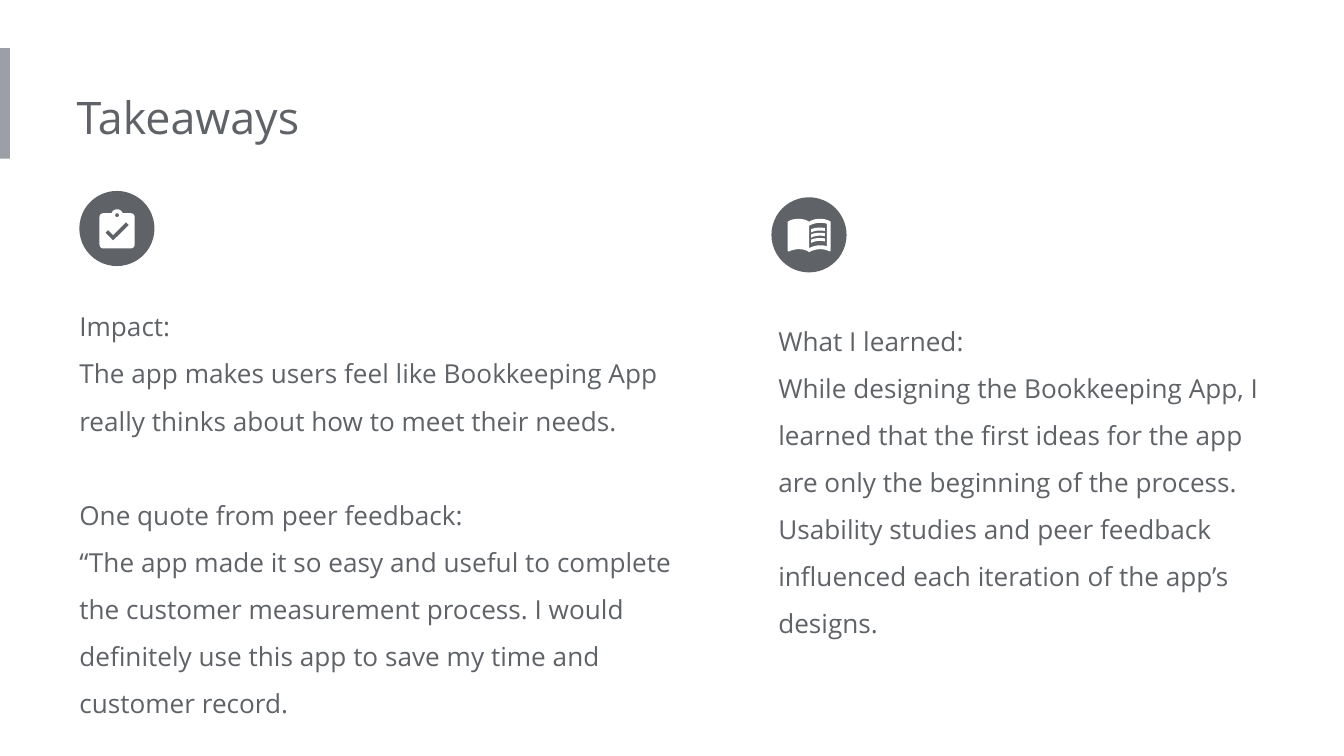
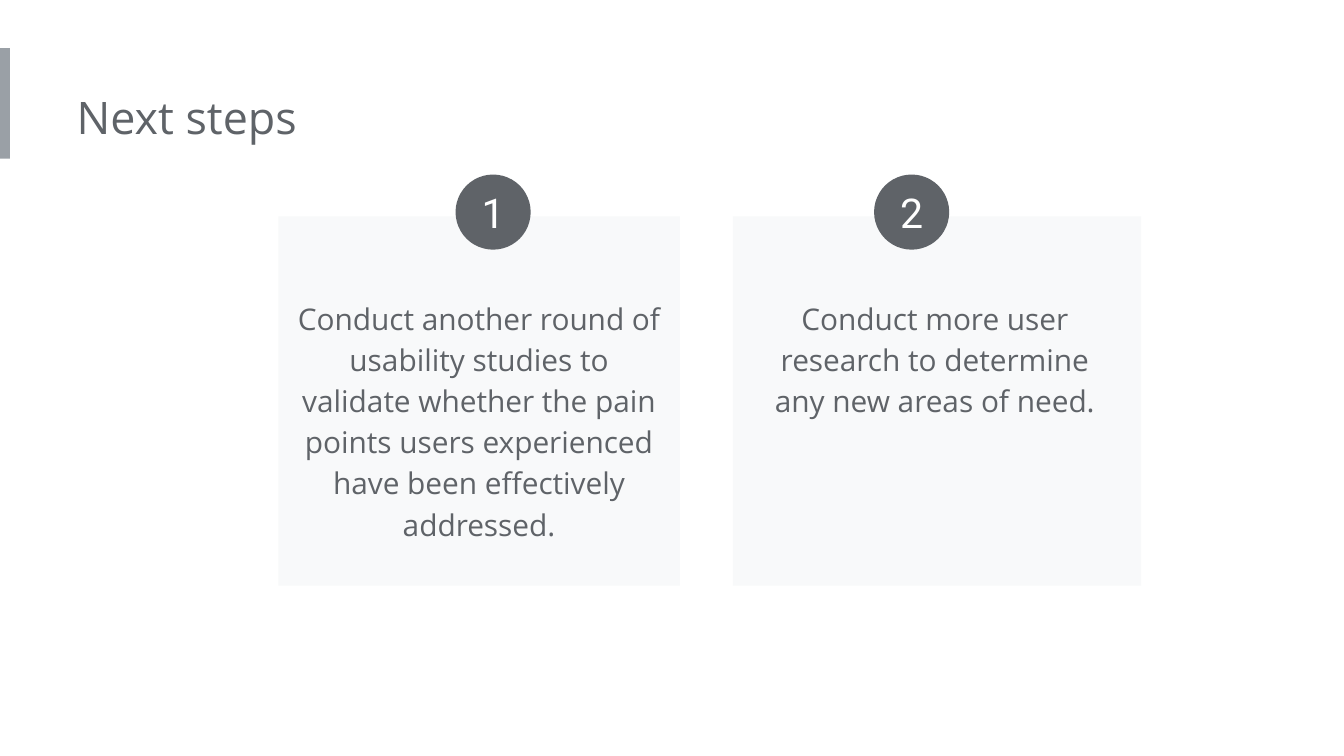
from pptx import Presentation
from pptx.dml.color import RGBColor
from pptx.enum.shapes import MSO_SHAPE as Preset
from pptx.enum.text import MSO_ANCHOR as Anchor, MSO_AUTO_SIZE as AutoSize, PP_ALIGN as Align
from pptx.util import Cm, Pt

COLORS = {"text": "5F6368", "accent": "9AA0A6", "card": "F8F9FA", "white": "FFFFFF"}
BODY_FONT, NUMBER_FONT = "Open Sans", "Roboto"
INSET = 0.25
CIRCLE = 1.42
ICON_UNIT = 0.037  # side of one cell of the 24 x 24 icon grid

# Icon contours: a pair is a line to a point, six numbers are a cubic curve
CLIPBOARD = [
    [(19, 3), (14.82, 3), (14.4, 1.84, 13.3, 1, 12, 1), (10.7, 1, 9.6, 1.84, 9.18, 3),
     (5, 3), (3.9, 3, 3, 3.9, 3, 5), (3, 19), (3, 20.1, 3.9, 21, 5, 21),
     (19, 21), (20.1, 21, 21, 20.1, 21, 19), (21, 5), (21, 3.9, 20.1, 3, 19, 3)],
    [(12, 3), (12.55, 3, 13, 3.45, 13, 4), (13, 4.55, 12.55, 5, 12, 5),
     (11.45, 5, 11, 4.55, 11, 4), (11, 3.45, 11.45, 3, 12, 3)],
    [(10, 17), (6, 13), (7.41, 11.59), (10, 14.17), (16.59, 7.58), (18, 9)],
]
BOOK = [
    [(21, 5), (19.89, 4.65, 18.67, 4.5, 17.5, 4.5), (15.55, 4.5, 13.45, 4.9, 12, 6),
     (10.55, 4.9, 8.45, 4.5, 6.5, 4.5), (4.55, 4.5, 2.45, 4.9, 1, 6), (1, 20.65),
     (1, 20.9, 1.25, 21.15, 1.5, 21.15), (1.75, 21.1), (3.1, 20.45, 5.05, 20, 6.5, 20),
     (8.45, 20, 10.55, 20.4, 12, 21.5), (13.35, 20.65, 15.8, 20, 17.5, 20),
     (19.15, 20, 20.85, 20.3, 22.25, 21.05), (22.5, 21.1),
     (22.75, 21.1, 23, 20.85, 23, 20.6), (23, 6), (22.4, 5.55, 21.75, 5.25, 21, 5)],
    [(21, 18.5), (19.9, 18.15, 18.7, 18, 17.5, 18), (15.8, 18, 13.35, 18.65, 12, 19.5),
     (12, 8), (13.35, 7.15, 15.8, 6.5, 17.5, 6.5), (18.7, 6.5, 19.9, 6.65, 21, 7)],
]
BOOK_LINE = [(17.5, 10.5), (18.38, 10.5, 19.23, 10.59, 20, 10.76), (20, 9.24),
             (19.21, 9.09, 18.36, 9, 17.5, 9), (15.8, 9, 14.26, 9.29, 13, 9.83),
             (13, 11.49), (14.13, 10.85, 15.7, 10.5, 17.5, 10.5)]
BOOK_LINE_PITCH = 2.66


def rgb(name):
    return RGBColor.from_string(COLORS[name])


def paint(shape, color):
    shape.shadow.inherit = False
    shape.fill.solid()
    shape.fill.fore_color.rgb = rgb(color)
    shape.line.fill.background()


def write(shape, paragraphs, size, color="text", font=BODY_FONT, align=Align.LEFT,
          spacing=1.0, insets=(INSET,) * 4, anchor=Anchor.TOP, fit=AutoSize.SHAPE_TO_FIT_TEXT):
    """Fill a shape with paragraphs of one style and return them."""
    frame = shape.text_frame
    left, top, right, bottom = map(Cm, insets)
    frame_format = {"word_wrap": True, "auto_size": fit, "vertical_anchor": anchor,
                    "margin_left": left, "margin_top": top,
                    "margin_right": right, "margin_bottom": bottom}
    for name, value in frame_format.items():
        setattr(frame, name, value)
    frame.text = "\n".join(paragraphs)
    for paragraph in frame.paragraphs:
        paragraph_format = {"alignment": align, "line_spacing": spacing,
                            "space_before": Pt(0), "space_after": Pt(0)}
        for name, value in paragraph_format.items():
            setattr(paragraph, name, value)
        for run in paragraph.runs:
            for name, value in {"name": font, "size": Pt(size)}.items():
                setattr(run.font, name, value)
            run.font.color.rgb = rgb(color)
    return frame.paragraphs


def add_block(slide, kind, left, top, width, height, color):
    block = slide.shapes.add_shape(kind, Cm(left), Cm(top), Cm(width), Cm(height))
    paint(block, color)
    return block


def add_text(slide, box, paragraphs, size, **style):
    return write(slide.shapes.add_textbox(*map(Cm, box)), paragraphs, size, **style)


def add_titled_slide(deck, title_text):
    """Title-only slide with the accent bar at the left edge."""
    slide = deck.slides.add_slide(deck.slide_layouts[5])
    add_block(slide, Preset.RECTANGLE, 0, 0.91, 0.19, 2.09, "accent")
    title = slide.shapes.title
    for name, value in {"left": 1.45, "top": 1.45, "width": 13.69, "height": 1.55}.items():
        setattr(title, name, Cm(value))
    write(title, [title_text], 24, insets=(0, INSET, INSET, INSET))
    return slide


def flatten(contour, steps=6):
    """Turn the lines and curves of a contour into points."""
    points = [contour[0]]
    for segment in contour[1:]:
        if len(segment) == 2:
            points.append(segment)
            continue
        x0, y0 = points[-1]
        x1, y1, x2, y2, x3, y3 = segment
        for step in range(1, steps + 1):
            t = step / steps
            a, b, c, d = (1 - t) ** 3, 3 * t * (1 - t) ** 2, 3 * t * t * (1 - t), t ** 3
            points.append((a * x0 + b * x1 + c * x2 + d * x3,
                           a * y0 + b * y1 + c * y2 + d * y3))
    return points


def add_glyph(slide, left, top, contours):
    """White outline drawn on the icon grid."""
    outlines = [[(Cm(left + x * ICON_UNIT), Cm(top + y * ICON_UNIT))
                 for x, y in flatten(contour)] for contour in contours]
    builder = slide.shapes.build_freeform(*outlines[0][0])
    builder.add_line_segments(outlines[0][1:], close=True)
    for outline in outlines[1:]:
        builder.move_to(*outline[0])
        builder.add_line_segments(outline[1:], close=True)
    paint(builder.convert_to_shape(), "white")


def add_icon(slide, left, top, glyphs, rise):
    """Round badge with its glyphs, the grid starting at rise below the top."""
    add_block(slide, Preset.OVAL, left, top, CIRCLE, CIRCLE, "text")
    for contours in glyphs:
        add_glyph(slide, left + 0.27, top + rise, contours)


def add_takeaway(slide, box, paragraphs):
    return add_text(slide, box, paragraphs, 14, spacing=1.5, insets=(0, INSET, INSET, INSET))


def add_step(slide, card, text_box, badge_left, number, text):
    """Card with a centred text and a numbered badge on its top edge."""
    left, top, width, height = card
    dx, dy, text_width, text_height = text_box
    add_block(slide, Preset.RECTANGLE, left, top, width, height, "card")
    add_text(slide, (left + dx, top + dy, text_width, text_height), [text], 16,
             align=Align.CENTER, spacing=1.15)
    badge = add_block(slide, Preset.OVAL, left + badge_left, top - 0.79, CIRCLE, CIRCLE, "text")
    write(badge, [number], 22, color="white", font=NUMBER_FONT, align=Align.CENTER,
          insets=(0,) * 4, anchor=Anchor.MIDDLE, fit=AutoSize.NONE)


def build_takeaways(deck):
    slide = add_titled_slide(deck, "Takeaways")
    # Impact and feedback
    impact = add_takeaway(slide, (1.5, 5.33, 12.14, 8.59), [
        "Impact:",
        "The app makes users feel like Bookkeeping App really thinks about how to meet "
        "their needs.",
        "One quote from peer feedback:",
        "“The app made it so easy and useful to complete the customer measurement process. "
        "I would definitely use this app to save my time and customer record."])
    impact[2].space_before = Pt(25.2)
    add_icon(slide, 1.5, 3.61, [CLIPBOARD], 0.31)
    # Lessons
    add_takeaway(slide, (14.71, 5.61, 9.58, 6.78), [
        "What I learned:",
        "While designing the Bookkeeping App, I learned that the first ideas for the app are "
        "only the beginning of the process. Usability studies and peer feedback influenced "
        "each iteration of the app’s designs."])
    lines = [[[(*segment[:1], segment[1] + row * BOOK_LINE_PITCH) if len(segment) == 2
               else tuple(value + (index % 2) * row * BOOK_LINE_PITCH
                          for index, value in enumerate(segment))
               for segment in BOOK_LINE]] for row in range(3)]
    add_icon(slide, 14.58, 3.73, [BOOK, *lines], 0.24)


def build_next_steps(deck):
    slide = add_titled_slide(deck, "Next steps")
    add_step(slide, (5.26, 4.09, 7.59, 6.98), (0, 1.24, 7.59, 5.21), 3.35, "1",
             "Conduct another round of usability studies to validate whether the pain points "
             "users experienced have been effectively addressed.")
    add_step(slide, (13.85, 4.09, 7.72, 6.98), (0.15, 1.24, 7.34, 2.87), 2.67, "2",
             "Conduct more user research to determine any new areas of need.")


def main():
    deck = Presentation()
    deck.slide_width, deck.slide_height = Cm(25.4), Cm(14.29)
    build_takeaways(deck)
    build_next_steps(deck)
    deck.save("out.pptx")


if __name__ == "__main__":
    main()
